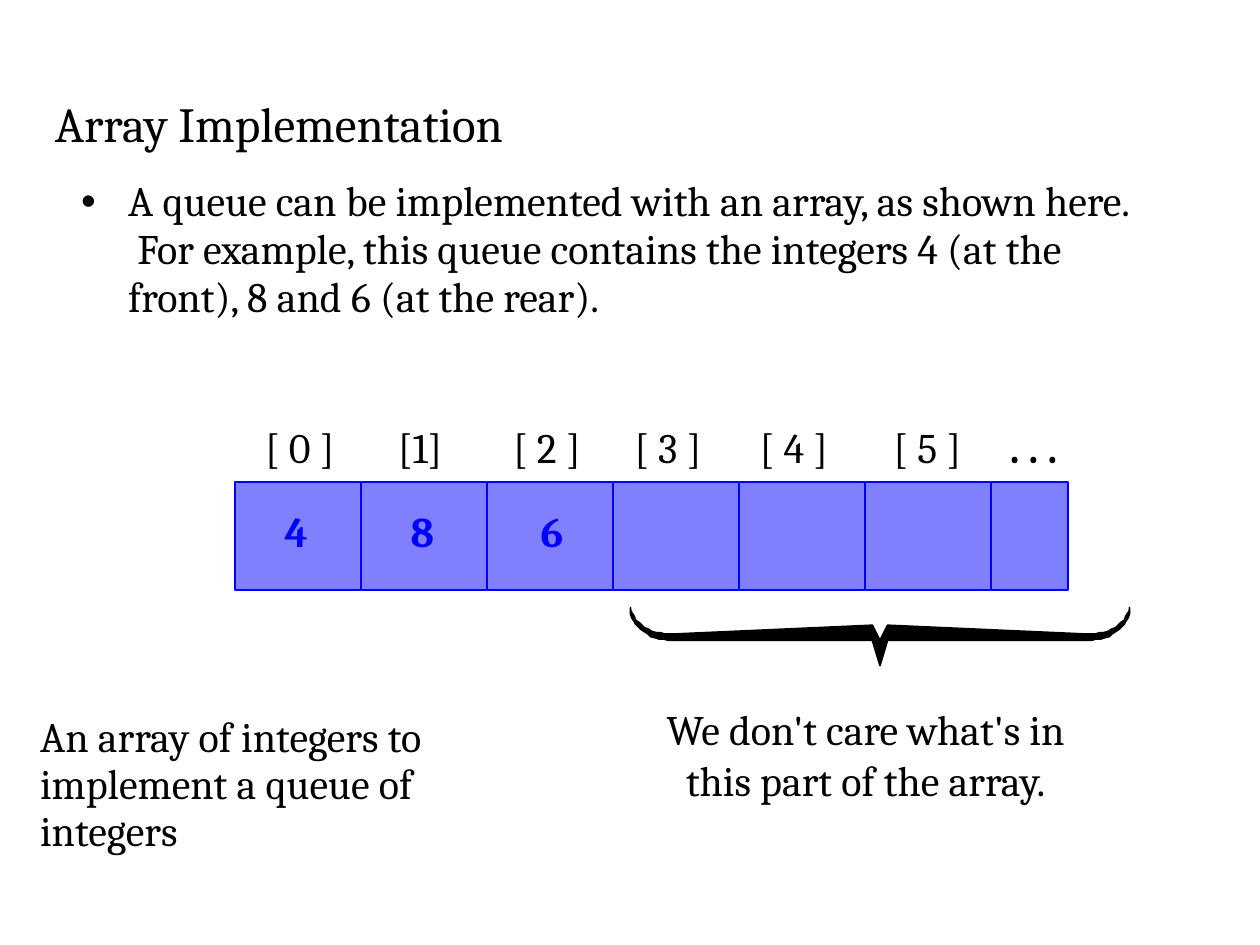
"""Build a slide that shows a queue of integers held in an array."""
from lxml.etree import SubElement
from pptx import Presentation
from pptx.dml.color import RGBColor
from pptx.enum.shapes import MSO_CONNECTOR, MSO_SHAPE
from pptx.enum.text import MSO_ANCHOR, MSO_AUTO_SIZE, PP_ALIGN
from pptx.oxml.ns import qn
from pptx.util import Cm, Pt

BLACK, BLUE, PALE = "000000", "0000FF", "8080FF"
LEFT, MID = PP_ALIGN.LEFT, PP_ALIGN.CENTER


def color(code):
    return RGBColor.from_string(code)


def write(shape, text, box, align=LEFT, size=24, bold=False, ink=BLACK, wrap=True, space=0.93):
    place = dict(zip(("left", "top", "width", "height"), map(Cm, box)))
    for name, value in place.items():
        setattr(shape, name, value)
    frame = shape.text_frame
    frame.text = text
    frame.word_wrap = wrap
    frame.auto_size = MSO_AUTO_SIZE.NONE
    frame.vertical_anchor = MSO_ANCHOR.TOP
    look = {"name": "Cambria", "size": Pt(size), "bold": bold}
    for para in frame.paragraphs:
        para.alignment, para.line_spacing = align, space
        for run in para.runs:
            for name, value in look.items():
                setattr(run.font, name, value)
            run.font.color.rgb = color(ink)
    return frame


deck = Presentation()
deck.slide_width, deck.slide_height = Cm(25.4), Cm(19.05)
slide = deck.slides.add_slide(deck.slide_layouts[1])
shapes = slide.shapes

title = write(shapes.title, "Array Implementation", (0.85, 0.95, 21.59, 3.18), size=28, space=0.95)
title.vertical_anchor = MSO_ANCHOR.MIDDLE

body = write(
    slide.placeholders[1],
    "A queue can be implemented with an array, as shown here.  For example, "
    "this queue contains the integers 4 (at the front), 8 and 6 (at the rear).",
    (1.38, 3.47, 21.79, 11.43), space=0.95)
point = body.paragraphs[0]
point.space_before = Pt(7)
props = point._p.get_or_add_pPr()
for name, value in {"marL": Cm(0.95), "indent": Cm(-0.95)}.items():
    props.set(name, str(int(value)))
SubElement(props, qn("a:buChar")).set("char", "•")

left, top, cell, high = 4.74, 9.72, 2.54, 2.18
array = shapes.add_shape(MSO_SHAPE.ROUNDED_RECTANGLE, Cm(left), Cm(top), Cm(16.79), Cm(high))
array.adjustments[0] = 0
array.shadow.inherit = False
array.fill.solid()
array.fill.fore_color.rgb = color(PALE)
array.line.color.rgb = color(BLUE)
array.line.width = Pt(1)

for step in range(1, 7):
    x = Cm(left + step * cell)
    wall = shapes.add_connector(MSO_CONNECTOR.STRAIGHT, x, Cm(top), x, Cm(top + high))
    wall.line.color.rgb = color(BLUE)
    wall.line.width = Pt(1)
    SubElement(wall._element.spPr, qn("a:effectLst"))

marks = [("[ 0 ]", 5.08, 1.93), ("[1]", 7.72, 1.5), ("[ 2 ]", 10.06, 1.93),
         ("[ 3 ]", 12.5, 1.93), ("[ 4 ]", 15.04, 1.93), ("[ 5 ]", 17.73, 1.93),
         (". . .", 20.05, 1.57)]
labels = [(text, (x, 8.46, width, 1.19), {"wrap": False, "align": MID, "bold": text == ". . ."})
          for text, x, width in marks]
labels += [(text, (x, 10.16, 0.97, 1.23), {"wrap": False, "align": MID, "bold": True, "ink": BLUE})
           for text, x in (("4", 5.49), ("8", 8.03), ("6", 10.64))]
labels += [("An array of integers to implement a queue of integers",
            (0.56, 14.29, 10.13, 3.1), {}),
           ("We don't care what's in\nthis part of the array.",
            (11.53, 14.15, 11.84, 2.24), {"align": MID})]
for text, box, style in labels:
    label = shapes.add_shape(MSO_SHAPE.ROUNDED_RECTANGLE, 0, 0, 0, 0)
    label.adjustments[0] = 0
    label.shadow.inherit = False
    label.fill.background()
    label.line.fill.background()
    note = write(label, text, box, **style)
note.paragraphs[1].line_spacing = 1.0

half = [(6, 26), (164, 26), (168, 26), (171, 25), (175, 25), (178, 24), (182, 23),
        (184, 21), (187, 19), (190, 17), (192, 15), (194, 13), (195, 11), (197, 8),
        (198, 5), (198, 3), (198, 0), (198, 2), (197, 4), (195, 7), (194, 10),
        (191, 12), (189, 14), (187, 16), (184, 17), (181, 19), (177, 20), (174, 20),
        (171, 21), (167, 21), (164, 21), (6, 14)]
other = [(-x, y) for x, y in reversed(half)]
pen = shapes.build_freeform(0, 46, scale=Cm(2.54) / 100)
pen.add_line_segments(half + [(0, 26)] + other, close=True)
brace = pen.convert_to_shape(Cm(17.74), Cm(12.25))
brace.shadow.inherit = False
brace.fill.solid()
brace.fill.fore_color.rgb = color(BLACK)
brace.line.color.rgb = color(BLACK)
brace.line.width = Pt(1)

deck.save("out.pptx")
